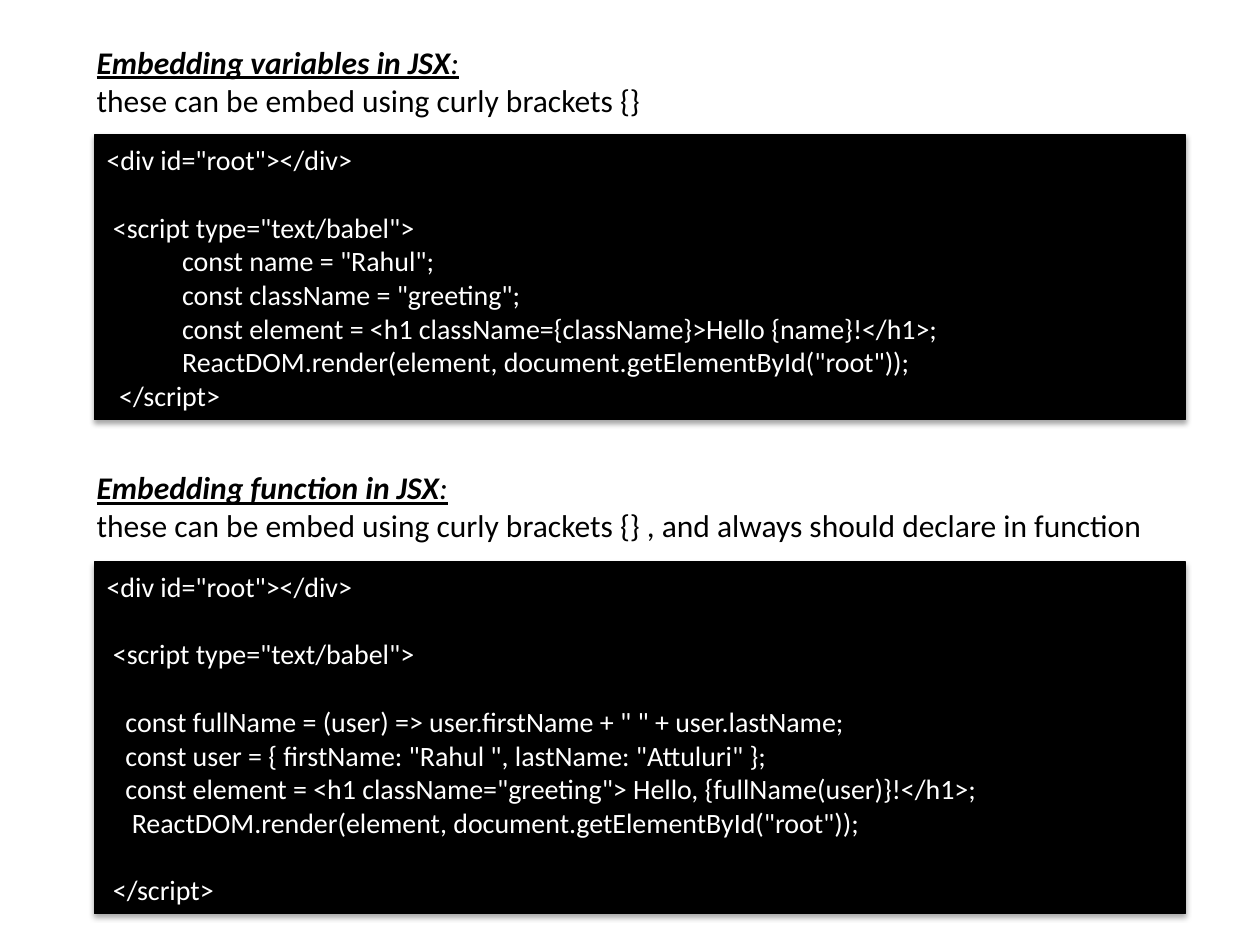
import pptx
import pptx.dml.color
import pptx.enum.shapes
import pptx.enum.text
import pptx.oxml
import pptx.oxml.ns
import pptx.util
from dataclasses import dataclass

Cm = pptx.util.Cm
Pt = pptx.util.Pt


@dataclass(frozen=True)
class Theme:
    font: str = "Calibri"
    dark: pptx.dml.color.RGBColor = pptx.dml.color.RGBColor(0, 0, 0)
    light: pptx.dml.color.RGBColor = pptx.dml.color.RGBColor(255, 255, 255)
    heading_size: int = 18
    code_size: int = 16
    code_line: float = 19.5


theme = Theme()

SHADOW = (
    f'<a:outerShdw {pptx.oxml.ns.nsdecls("a")} blurRad="{Pt(3.1)}" dist="{Pt(1.8)}" '
    'dir="5400000" rotWithShape="0"><a:srgbClr val="000000">'
    '<a:alpha val="35000"/></a:srgbClr></a:outerShdw>'
)

# Each section: title, note, top of heading, top and height of code panel (cm), code.
# A leading tab marks one indent level; an empty line becomes paragraph spacing.
sections = [
    (
        "Embedding variables in JSX",
        "these can be embed using curly brackets {}",
        0.74, 2.72, 5.74,
        """<div id="root"></div>

 <script type="text/babel">
\t  const name = "Rahul";
\t  const className = "greeting";
\t  const element = <h1 className={className}>Hello {name}!</h1>;
\t  ReactDOM.render(element, document.getElementById("root"));
  </script>""",
    ),
    (
        "Embedding function in JSX",
        "these can be embed using curly brackets {} , and always should declare in function",
        9.32, 11.33, 7.09,
        """<div id="root"></div>

 <script type="text/babel">

   const fullName = (user) => user.firstName + " " + user.lastName;
   const user = { firstName: "Rahul ", lastName: "Attuluri" };
   const element = <h1 className="greeting"> Hello, {fullName(user)}!</h1>;
    ReactDOM.render(element, document.getElementById("root"));

 </script>""",
    ),
]


def style(para, size, color):
    para.alignment = pptx.enum.text.PP_ALIGN.LEFT
    para.font.name = theme.font
    para.font.size = Pt(size)
    para.font.color.rgb = color


deck = pptx.Presentation()
deck.slide_width, deck.slide_height = Cm(25.4), Cm(19.05)
page = deck.slides.add_slide(deck.slide_layouts[6])

for title, note, heading_top, panel_top, panel_height, code in sections:
    # Heading and its note
    box = page.shapes.add_textbox(Cm(1.7), Cm(heading_top), Cm(21.8), Cm(1.8))
    frame = box.text_frame
    frame.word_wrap = True
    para = frame.paragraphs[0]
    style(para, theme.heading_size, theme.dark)
    para.font.italic = True
    para.font.underline = True
    for text, bold in ((title, True), (":", False)):
        span = para.add_run()
        span.text = text
        span.font.bold = bold
    para = frame.add_paragraph()
    para.text = note
    style(para, theme.heading_size, theme.dark)

    # Code panel
    panel = page.shapes.add_shape(
        pptx.enum.shapes.MSO_SHAPE.RECTANGLE,
        Cm(1.9), Cm(panel_top), Cm(22), Cm(panel_height),
    )
    panel.fill.solid()
    panel.fill.fore_color.rgb = theme.dark
    panel.line.color.rgb = theme.dark
    panel.line.width = Pt(0.75)
    panel.shadow.inherit = False
    effects = panel.element.spPr.find(pptx.oxml.ns.qn("a:effectLst"))
    effects.append(pptx.oxml.parse_xml(SHADOW))

    # Code lines
    frame = panel.text_frame
    frame.word_wrap = True
    frame.vertical_anchor = pptx.enum.text.MSO_ANCHOR.MIDDLE
    lines = code.split("\n")
    for number, line in enumerate(lines):
        if not line:
            continue
        para = frame.add_paragraph() if number else frame.paragraphs[0]
        para.text = line.lstrip("\t")
        para.level = line.count("\t")
        if number and not lines[number - 1]:
            para.space_before = Pt(theme.code_line)
        style(para, theme.code_size, theme.light)

deck.save("out.pptx")
